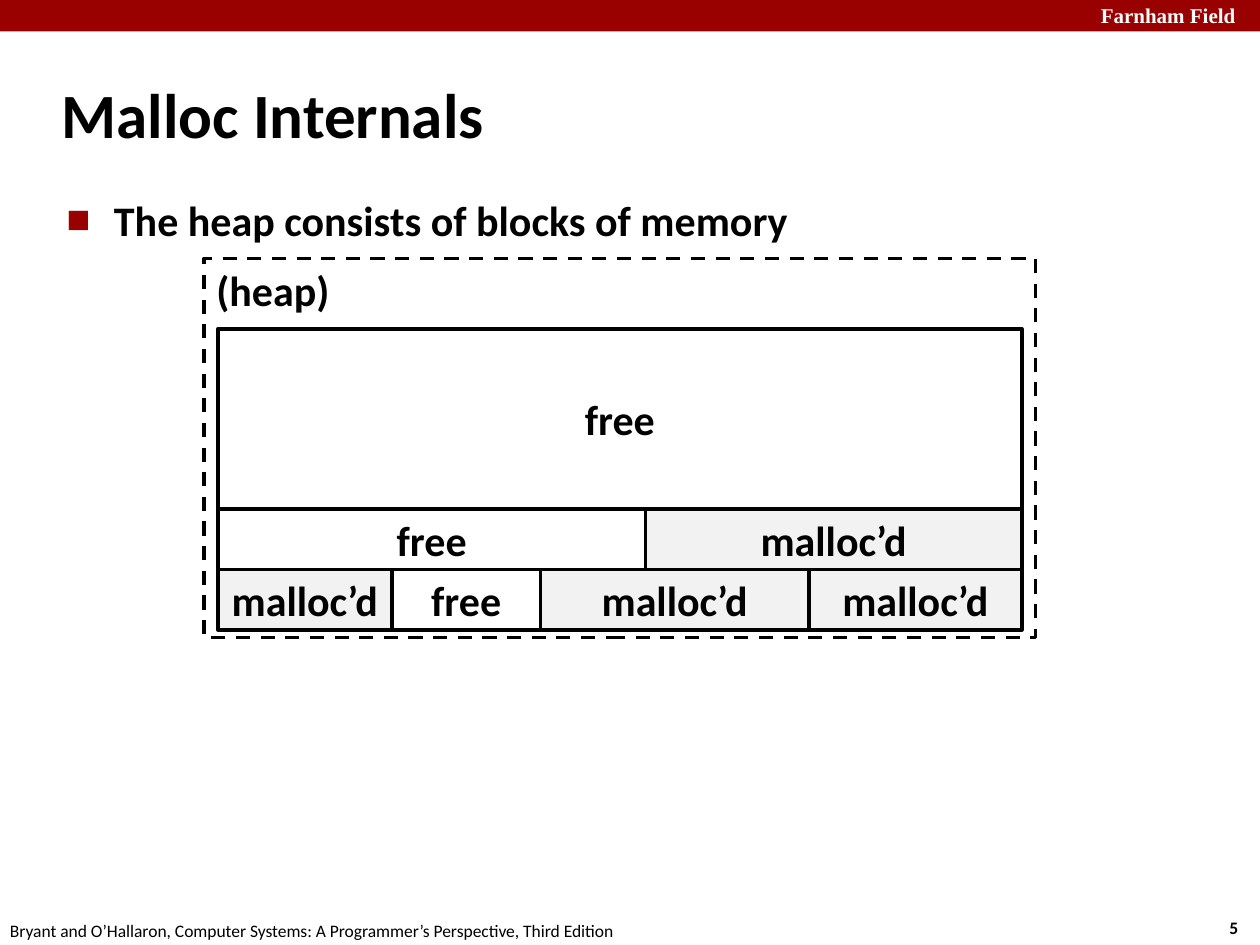
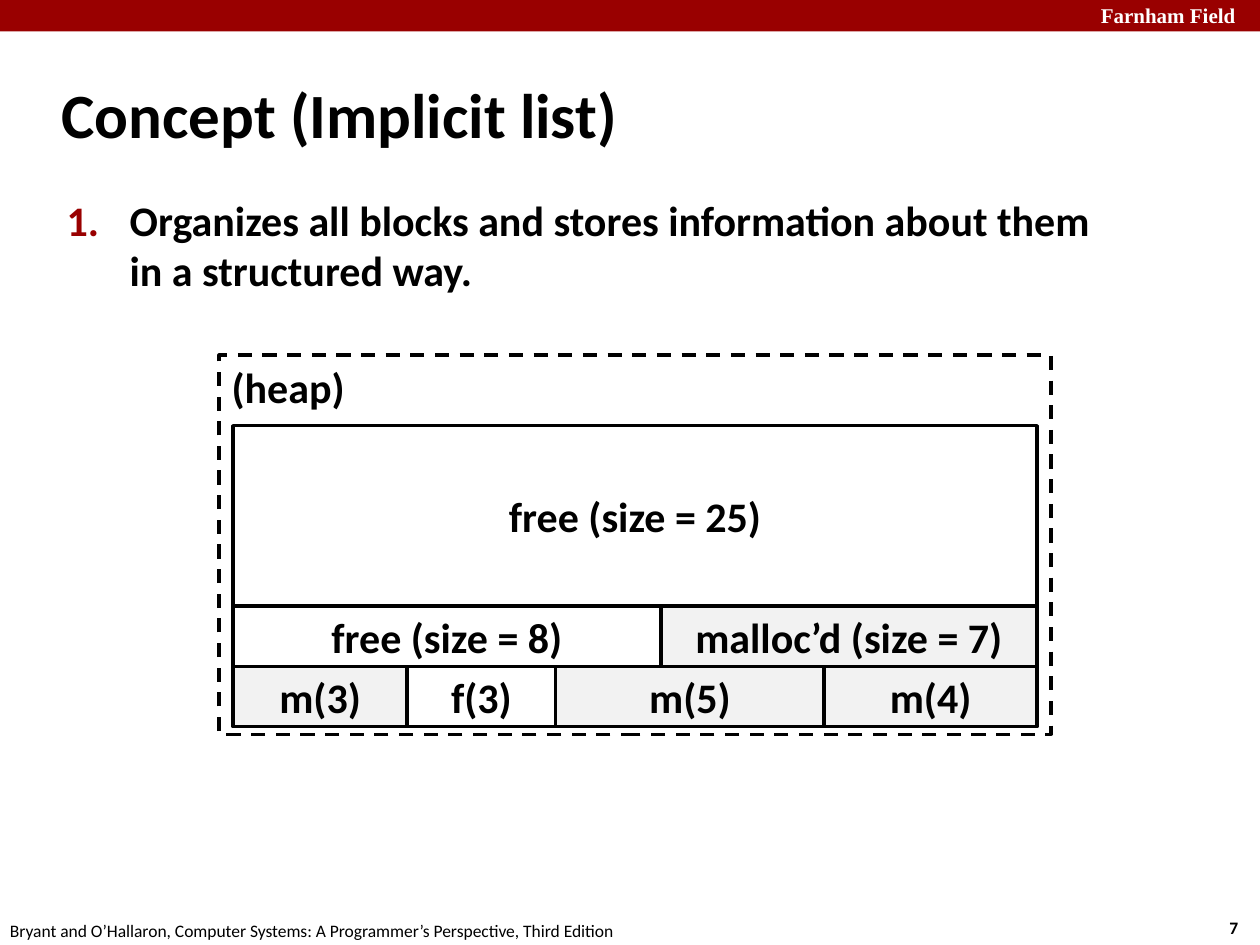
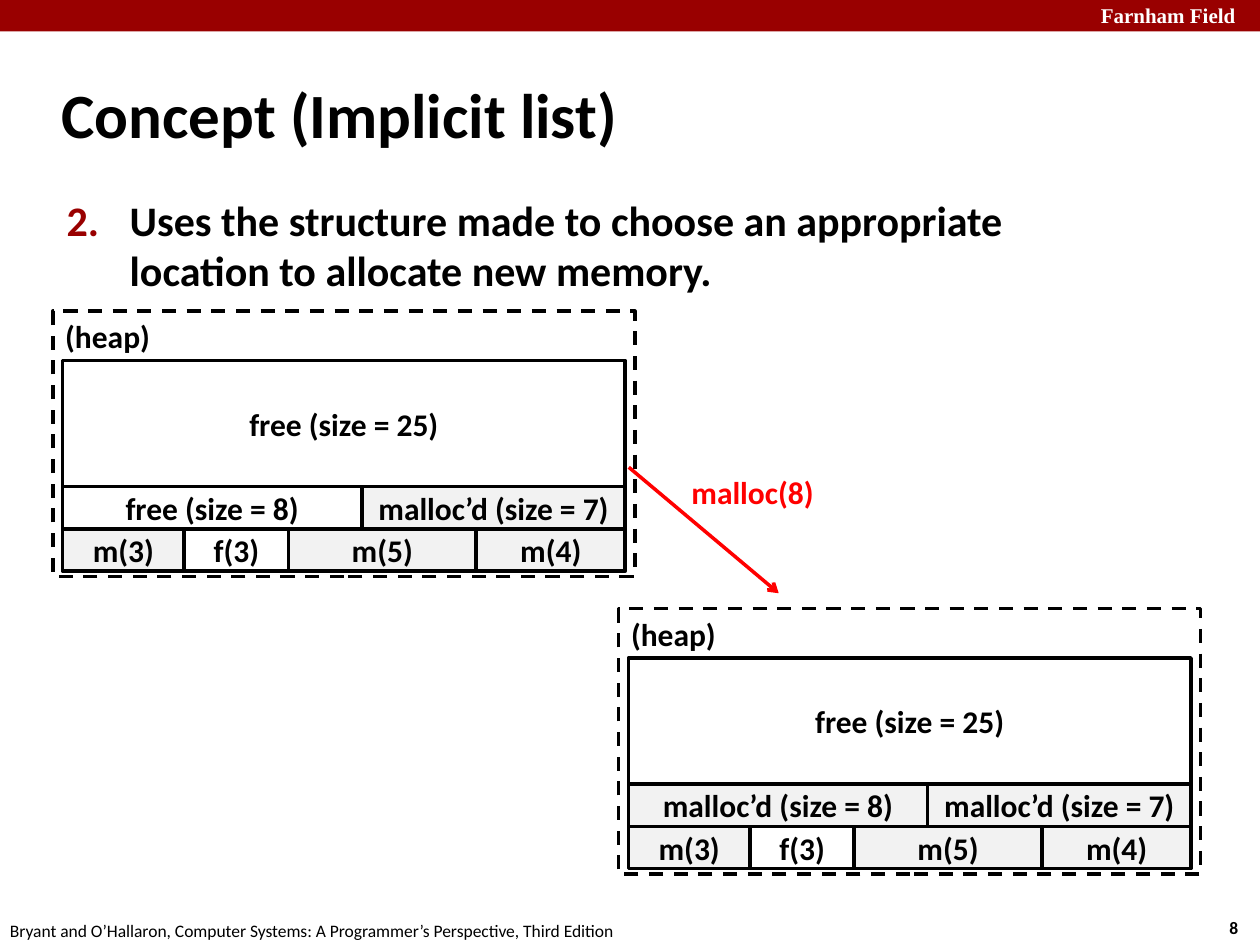
from lxml import etree
from pptx import Presentation
from pptx.dml.color import RGBColor
from pptx.enum.dml import MSO_LINE
from pptx.enum.shapes import MSO_CONNECTOR, MSO_SHAPE
from pptx.enum.text import MSO_ANCHOR, MSO_AUTO_SIZE, PP_ALIGN
from pptx.oxml.ns import qn
from pptx.util import Pt

RECT = MSO_SHAPE.RECTANGLE
STRAIGHT = MSO_CONNECTOR.STRAIGHT
DASH = MSO_LINE.DASH
TOP, MIDDLE = MSO_ANCHOR.TOP, MSO_ANCHOR.MIDDLE
LEFT, CENTER = PP_ALIGN.LEFT, PP_ALIGN.CENTER
NO_FIT = MSO_AUTO_SIZE.NONE

BLACK = RGBColor(0, 0, 0)
WHITE = RGBColor(255, 255, 255)
GRAY = RGBColor(0xF2, 0xF2, 0xF2)
CRIMSON = RGBColor(0x99, 0, 0)
RED = RGBColor(255, 0, 0)

SANS, SERIF = "Calibri", "Times New Roman"
SCHOOL = "Farnham Field"
BOOK = ("Bryant and O’Hallaron, Computer Systems: "
        "A Programmer’s Perspective, Third Edition")

# Heap diagram at full scale, in points
HEAP_W, HEAP_H = 475.2, 216.7
PAD_X, PAD_Y = 7.9, 40.3
ROW_H = (103, 34.5, 34.5)
ROW_W = ((459.4,), (244.4, 215), (99.4, 85, 153.4, 121.6))

PLAIN = (("free",), ("free", "malloc’d"),
         ("malloc’d", "free", "malloc’d", "malloc’d"))
LAST = ("m(3)", "f(3)", "m(5)", "m(4)")
BEFORE = (("free (size = 25)",), ("free (size = 8)", "malloc’d (size = 7)"), LAST)
AFTER = (BEFORE[0], ("malloc’d (size = 8)", "malloc’d (size = 7)"), LAST)


def points(*sizes):
    """Turn plain numbers into lengths."""
    return [Pt(size) for size in sizes]


def write(para, text, size, color=BLACK, bold=True, font=SANS):
    """Add one formatted run to a paragraph."""
    run = para.add_run()
    run.text = text
    run.font.name, run.font.size, run.font.bold = font, Pt(size), bold
    run.font.color.rgb = color


def indent(para, hang):
    """Give a paragraph a hanging indent and return its properties."""
    props = para._p.get_or_add_pPr()
    props.set("marL", str(Pt(hang)))
    props.set("indent", str(-Pt(hang)))
    return props


def add_text(slide, box, text, size, wrap=False, **style):
    """Add a one-paragraph text box and return its paragraph."""
    frame = slide.shapes.add_textbox(*points(*box)).text_frame
    frame.word_wrap = wrap
    para = frame.paragraphs[0]
    write(para, text, size, **style)
    return para


def add_rect(shapes, box, fill=None, line=None):
    """Add a flat rectangle with an optional fill and outline."""
    rect = shapes.add_shape(RECT, *points(*box))
    rect.shadow.inherit = False
    if fill is None:
        rect.fill.background()
    else:
        rect.fill.solid()
        rect.fill.fore_color.rgb = fill
    if line is None:
        rect.line.fill.background()
    else:
        rect.line.color.rgb = line
        rect.line.width = Pt(2)
    return rect


def label(rect, text, size, align=CENTER, anchor=MIDDLE):
    """Write a label inside a rectangle."""
    frame = rect.text_frame
    frame.word_wrap = True
    frame.vertical_anchor = anchor
    para = frame.paragraphs[0]
    para.alignment = align
    write(para, text, size)


def add_page(deck, title, number):
    """Add a slide with its title, top band and footers."""
    slide = deck.slides.add_slide(deck.slide_layouts[5])
    add_rect(slide.shapes, (0, 0, 720, 18), CRIMSON)
    add_text(slide, (622, -2.2, 103, 21.6), SCHOOL, 12, True,
             color=WHITE, font=SERIF)
    add_text(slide, (695.5, 520.6, 26.6, 19.4), str(number), 10)
    add_text(slide, (-1.4, 522, 365.8, 19.4), BOOK, 10, bold=False)
    head = slide.shapes.title
    head.left, head.top, head.width, head.height = points(28, 34.6, 597.6, 59.8)
    frame = head.text_frame
    frame.auto_size = NO_FIT
    frame.vertical_anchor = MIDDLE
    para = frame.paragraphs[0]
    para.alignment = LEFT
    indent(para, 9)
    write(para, title, 36)
    return slide


def add_point(slide, text, number=None):
    """Add the body point, numbered or with a square bullet."""
    para = add_text(slide, (31, 107.5, 622, 391.7), text, 24, True)
    para.space_before = Pt(4.8)
    props = indent(para, 36 if number else 27)
    color = etree.SubElement(props, qn("a:buClr"))
    etree.SubElement(color, qn("a:srgbClr"), val=str(CRIMSON))
    if number:
        etree.SubElement(props, qn("a:buFont"), typeface=SANS)
        etree.SubElement(props, qn("a:buAutoNum"), type="arabicPeriod",
                         startAt=str(number))
    else:
        etree.SubElement(props, qn("a:buSzPct"), val="60000")
        etree.SubElement(props, qn("a:buFont"), typeface=SANS)
        etree.SubElement(props, qn("a:buChar"), char="■")


def add_heap(slide, left, top, rows, scale=1, size=24):
    """Add a grouped heap diagram: dashed frame and rows of blocks."""
    shapes = slide.shapes.add_group_shape().shapes
    frame = add_rect(shapes, (left, top, HEAP_W * scale, HEAP_H * scale),
                     line=BLACK)
    frame.line.dash_style = DASH
    label(frame, "(heap)", size, LEFT, TOP)
    y = top + PAD_Y * scale
    for names, widths, height in zip(rows, ROW_W, ROW_H):
        x = left + PAD_X * scale
        for name, width in zip(names, widths):
            fill = GRAY if name.startswith("m") else WHITE
            block = add_rect(shapes, (x, y, width * scale, height * scale),
                             fill, BLACK)
            label(block, name, size)
            x += width * scale
        y += height * scale


def add_arrow(slide, start, end):
    """Add a red arrow between two points."""
    arrow = slide.shapes.add_connector(STRAIGHT, *points(*start, *end))
    arrow.line.color.rgb = RED
    arrow.line.width = Pt(2)
    etree.SubElement(arrow.line._get_or_add_ln(), qn("a:tailEnd"), type="arrow")
    etree.SubElement(arrow._element.spPr, qn("a:effectLst"))


def main():
    """Build and save the three slides."""
    deck = Presentation()
    deck.slide_width, deck.slide_height = points(720, 540)

    slide = add_page(deck, "Malloc Internals", 5)
    add_point(slide, "The heap consists of blocks of memory")
    add_heap(slide, 116.6, 147.6, PLAIN)

    slide = add_page(deck, "Concept (Implicit list)", 7)
    add_point(slide, "Organizes all blocks and stores information about them "
              "in a structured way.", 1)
    add_heap(slide, 125.3, 203, BEFORE)

    slide = add_page(deck, "Concept (Implicit list)", 8)
    add_point(slide, "Uses the structure made to choose an appropriate "
              "location to allocate new memory.", 2)
    add_heap(slide, 30.2, 177.8, BEFORE, 0.7, 18)
    add_heap(slide, 353.5, 347.8, AFTER, 0.7, 18)
    add_arrow(slide, (359.3, 267), (445, 339))
    add_text(slide, (388, 267, 85, 29), "malloc(8)", 18, color=RED)

    deck.save("out.pptx")


main()
